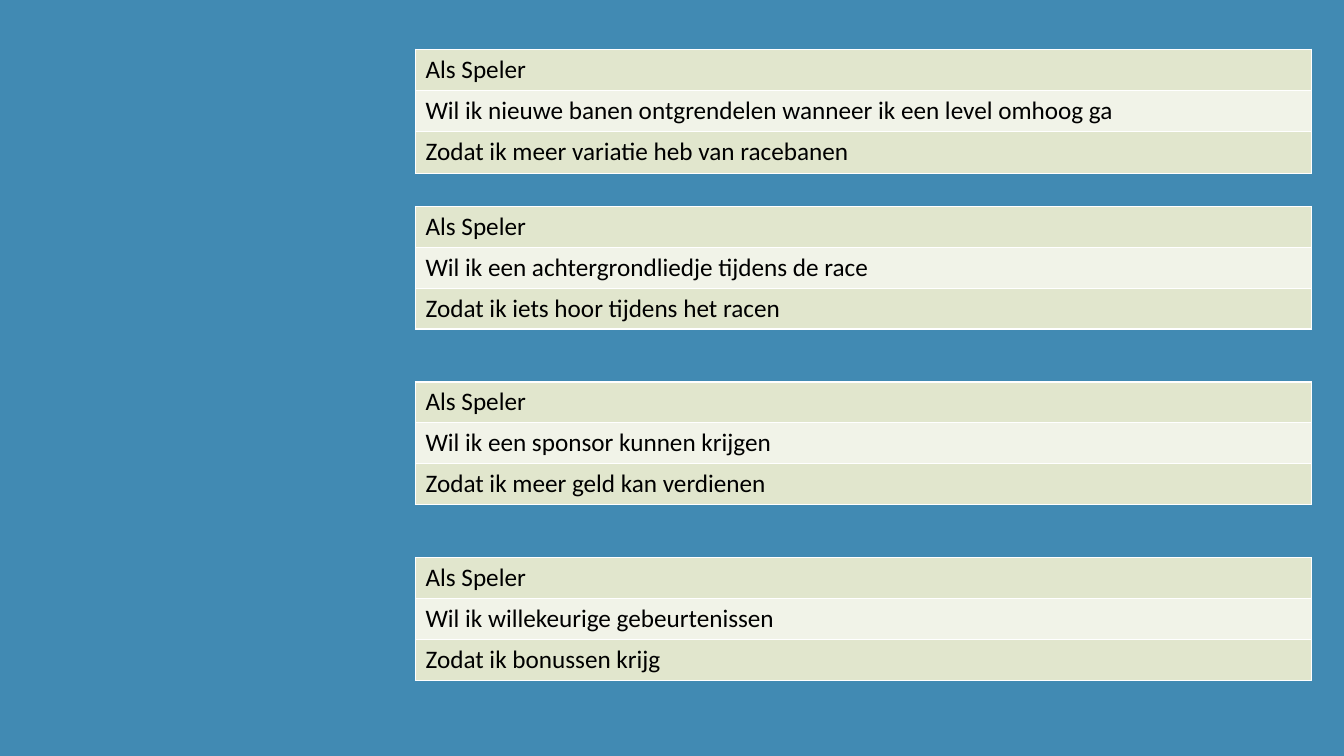
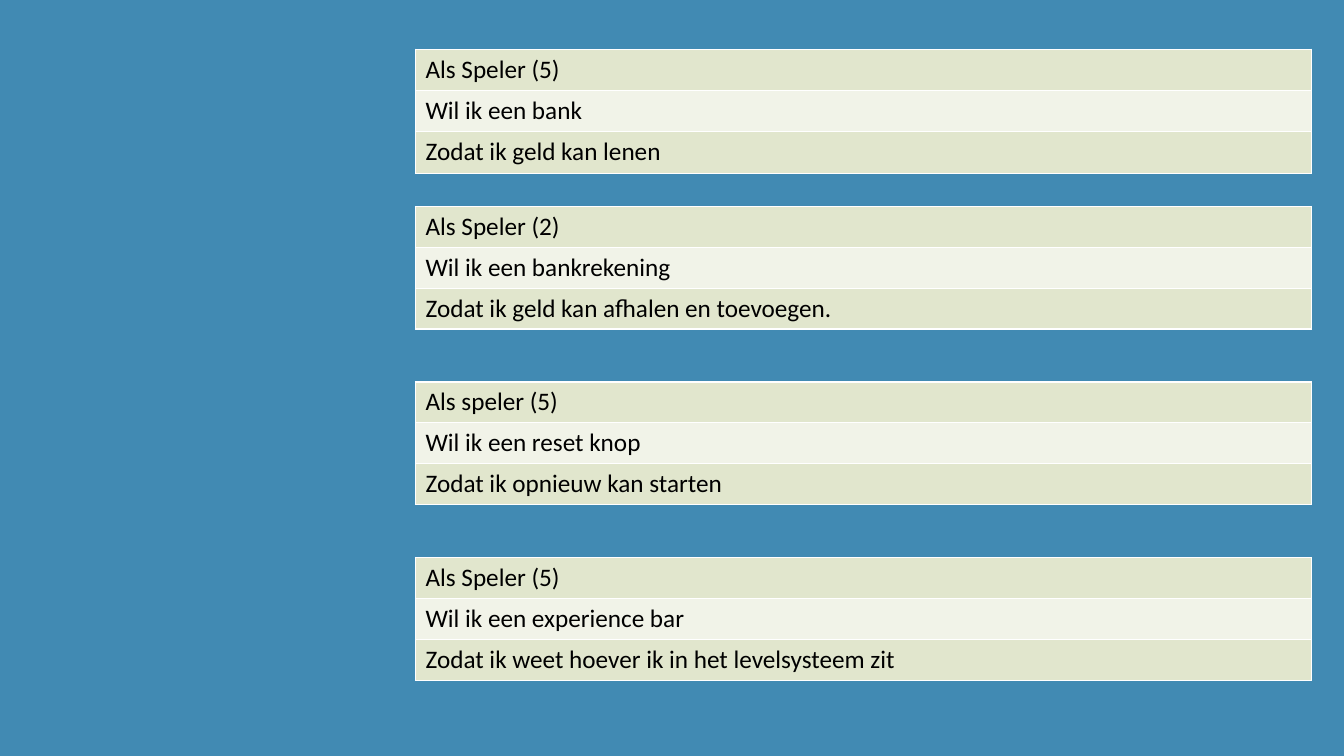
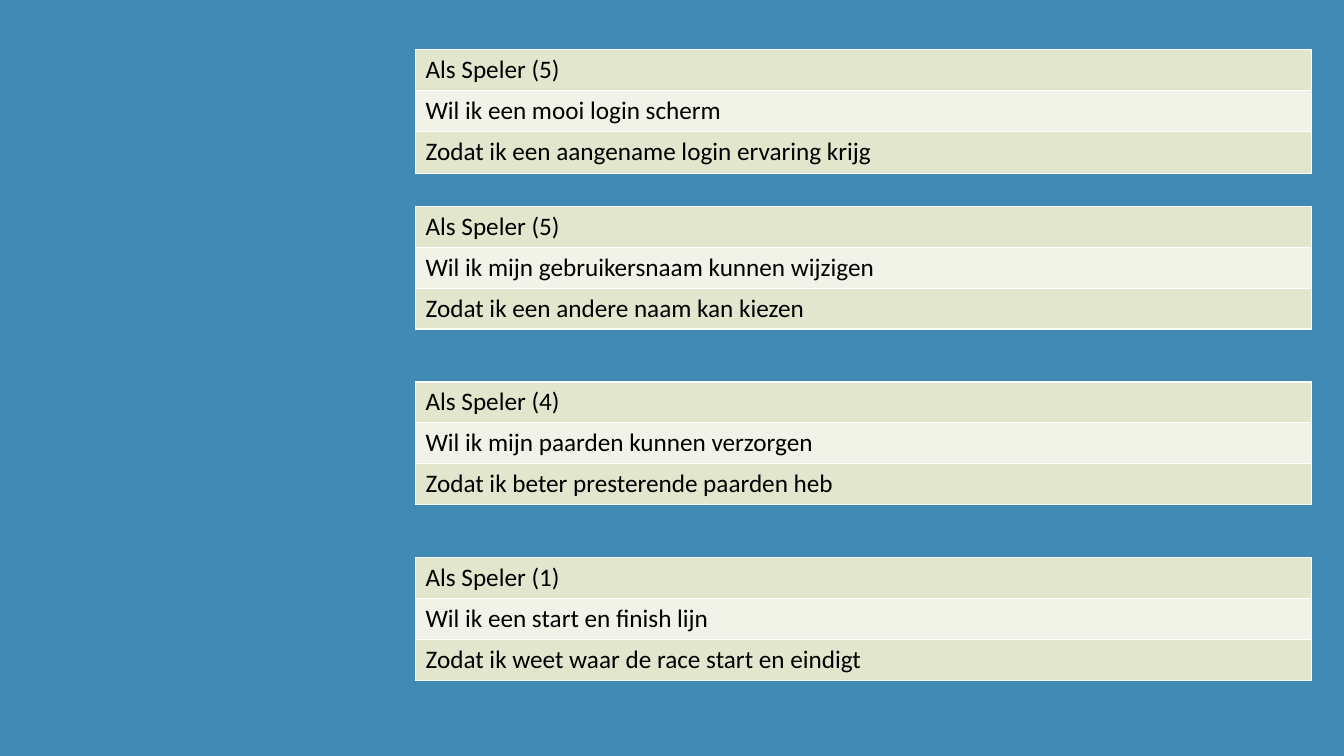
from pptx import Presentation
from pptx.dml.color import RGBColor
from pptx.oxml import parse_xml
from pptx.oxml.ns import nsdecls
from pptx.util import Pt

DECK = [
    [
        ("Als Speler",
         "Wil ik nieuwe banen ontgrendelen wanneer ik een level omhoog ga",
         "Zodat ik meer variatie heb van racebanen"),
        ("Als Speler",
         "Wil ik een achtergrondliedje tijdens de race",
         "Zodat ik iets hoor tijdens het racen"),
        ("Als Speler",
         "Wil ik een sponsor kunnen krijgen",
         "Zodat ik meer geld kan verdienen"),
        ("Als Speler",
         "Wil ik willekeurige gebeurtenissen",
         "Zodat ik bonussen krijg"),
    ],
    [
        ("Als Speler (5)",
         "Wil ik een bank",
         "Zodat ik geld kan lenen"),
        ("Als Speler (2)",
         "Wil ik een bankrekening",
         "Zodat ik geld kan afhalen en toevoegen."),
        ("Als speler (5)",
         "Wil ik een reset knop",
         "Zodat ik opnieuw kan starten"),
        ("Als Speler (5)",
         "Wil ik een experience bar",
         "Zodat ik weet hoever ik in het levelsysteem zit"),
    ],
    [
        ("Als Speler (5)",
         "Wil ik een mooi login scherm",
         "Zodat ik een aangename login ervaring krijg"),
        ("Als Speler (5)",
         "Wil ik mijn gebruikersnaam kunnen wijzigen",
         "Zodat ik een andere naam kan kiezen"),
        ("Als Speler (4)",
         "Wil ik mijn paarden kunnen verzorgen",
         "Zodat ik beter presterende paarden heb"),
        ("Als Speler (1)",
         "Wil ik een start en finish lijn",
         "Zodat ik weet waar de race start en eindigt"),
    ],
]

BLUE, BLACK, WHITE = "418AB3", "000000", "FFFFFF"
BANDS = ("E1E6CD", "F1F3E8")
FONT = {"name": "Calibri", "size": Pt(18)}
FLAGS = {"first_row": False, "horz_banding": False}
LEFT, WIDTH = 296.8, 640
STEP = 125.4
SLOTS = [(35.2, 29.5)] + [(147.4 + STEP * n, 29.2) for n in range(3)]


def paint(fill, tint):
    fill.solid()
    fill.fore_color.rgb = RGBColor.from_string(tint)


def style(thing, form):
    for key, value in form.items():
        setattr(thing, key, value)


def frame(cell):
    for side in "LRTB":
        cell._tc.get_or_add_tcPr().append(parse_xml(
            f'<a:ln{side} {nsdecls("a")} w="{Pt(1)}"><a:solidFill>'
            f'<a:srgbClr val="{WHITE}"/></a:solidFill></a:ln{side}>'))


def add_story(slide, story, top, height):
    table = slide.shapes.add_table(
        len(story), 1, Pt(LEFT), Pt(top), Pt(WIDTH), Pt(height * len(story))).table
    style(table, FLAGS)
    for n, line in enumerate(story):
        cell = table.cell(n, 0)
        cell.text = line
        frame(cell)
        paint(cell.fill, BANDS[n % 2])
        font = cell.text_frame.paragraphs[0].runs[0].font
        style(font, FONT)
        font.color.rgb = RGBColor.from_string(BLACK)


def main():
    """Build the deck of user stories."""
    deck = Presentation()
    style(deck, {"slide_width": Pt(960), "slide_height": Pt(540)})
    paint(deck.slide_master.background.fill, BLUE)
    for stories in DECK:
        slide = deck.slides.add_slide(deck.slide_layouts[6])
        for story, slot in zip(stories, SLOTS):
            add_story(slide, story, *slot)
    deck.save("out.pptx")


if __name__ == "__main__":
    main()
